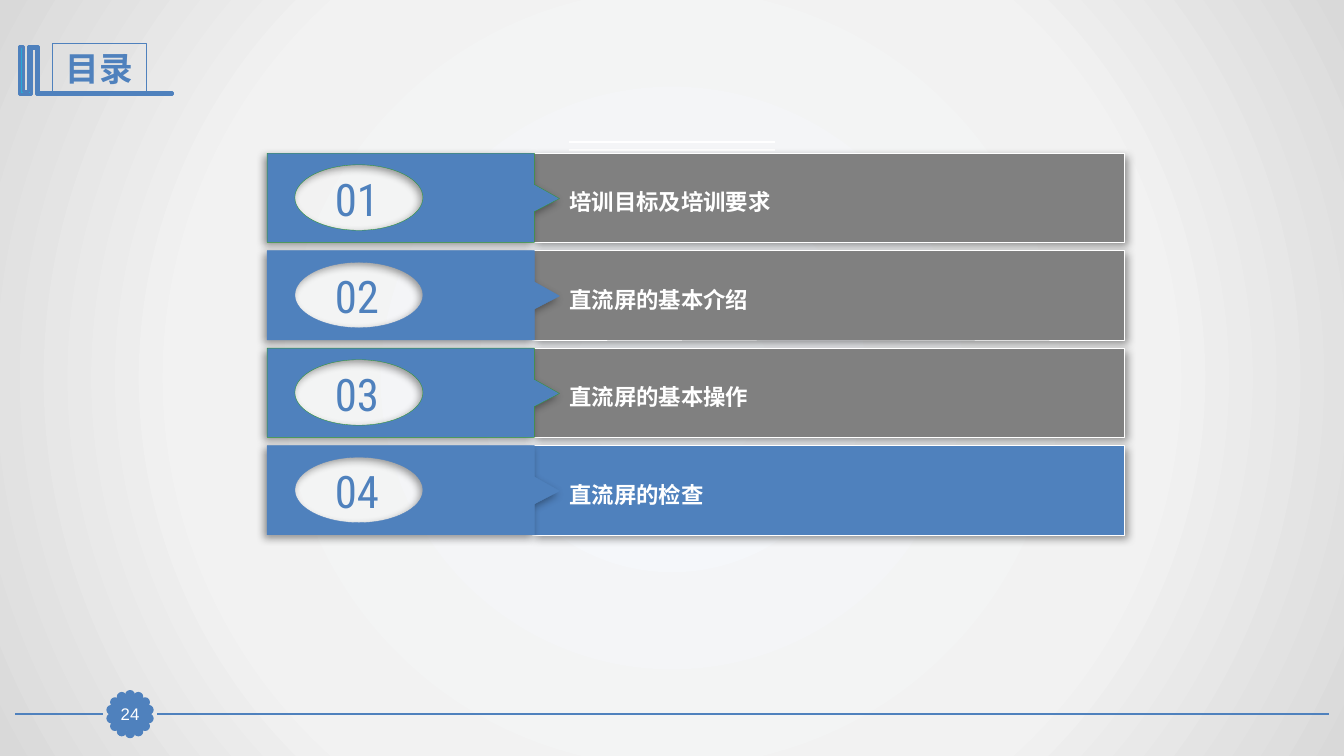
"""Build the contents slide with four numbered sections, the last one highlighted."""
from math import cos, sin, tau

from lxml.etree import SubElement
from pptx import Presentation
from pptx.dml.color import RGBColor
from pptx.enum.shapes import MSO_CONNECTOR, MSO_SHAPE
from pptx.enum.text import MSO_ANCHOR, MSO_AUTO_SIZE, PP_ALIGN
from pptx.oxml import parse_xml
from pptx.oxml.ns import nsdecls, qn
from pptx.util import Inches, Pt

COLORS = {"blue": "4F81BD", "gray": "808080", "white": "FFFFFF", "green": "339933",
          "cyan": "28A9D6", "center": "F6F9FC", "middle": "F2F2F2", "edge": "D9D9D9"}
SECTIONS = [("培训目标及培训要求", "gray", "green"), ("直流屏的基本介绍", "gray", "blue"),
            ("直流屏的基本操作", "gray", "green"), ("直流屏的检查", "blue", "blue")]
LEFT, SPLIT, TIP, RIGHT = 2.65, 5.3, 5.55, 11.15
TOP, PITCH, ROW_H = 1.52, 0.967, 0.885
OVAL_X, OVAL_Y, OVAL_RX, OVAL_RY = 3.56, 0.44, 0.635, 0.325
OVAL_CURVE = [(0, -1), (-0.55, -1), (-1, -0.55), (-1, 0), (-1, 0.55), (-0.55, 1), (0, 1),
              (0.55, 1), (1, 0.55), (1, 0), (1, -0.55), (0.55, -1), (0, -1)]
BADGE_X, BADGE_Y, BADGE_R, DOT, DOTS = 1.29, 7.085, 0.19, 0.07, 14


def style(sp, fill, line, width, shadow_angle=None):
    sp.shadow.inherit = False
    if fill:
        sp.fill.solid()
        sp.fill.fore_color.rgb = RGBColor.from_string(COLORS[fill])
    else:
        sp.fill.background()
    sp.line.color.rgb = RGBColor.from_string(COLORS[line])
    sp.line.width = Pt(width)
    if shadow_angle is not None:
        effects = sp._element.spPr.find(qn("a:effectLst"))
        effects.append(parse_xml(
            f'<a:outerShdw {nsdecls("a")} blurRad="{Pt(6)}" dist="{Pt(3)}" '
            f'dir="{shadow_angle * 60000}" algn="ctr" rotWithShape="0">'
            '<a:srgbClr val="000000"><a:alpha val="40000"/></a:srgbClr></a:outerShdw>'))


def write(sp, text, size, font, color, bold=False, align=PP_ALIGN.CENTER,
          anchor=MSO_ANCHOR.MIDDLE):
    tf = sp.text_frame
    tf.word_wrap = True
    tf.auto_size = MSO_AUTO_SIZE.NONE
    tf.vertical_anchor = anchor
    p = tf.paragraphs[0]
    p.alignment = align
    r = p.add_run()
    r.text = text
    r.font.size = Pt(size)
    r.font.name = font
    r.font.bold = bold
    r.font.color.rgb = RGBColor.from_string(COLORS[color])


prs = Presentation()
prs.slide_width, prs.slide_height = Inches(13.33), Inches(7.5)
s = prs.slides.add_slide(prs.slide_layouts[5])
shapes = s.shapes

s.background.fill.solid()
solid = s.element.find(".//" + qn("p:bgPr")).find(qn("a:solidFill"))
stops = "".join(f'<a:gs pos="{pos * 1000}"><a:srgbClr val="{COLORS[name]}"/></a:gs>'
                for pos, name in [(0, "center"), (63, "middle"), (100, "edge")])
solid.getparent().replace(solid, parse_xml(
    f'<a:gradFill {nsdecls("a")} rotWithShape="1"><a:gsLst>{stops}</a:gsLst>'
    '<a:path path="circle"><a:fillToRect l="50000" t="50000" r="50000" b="50000"/>'
    '</a:path></a:gradFill>'))

for x1, x2, y, color, width in [(13.18, 1.56, BADGE_Y, "blue", 1.25),
                                (1.02, 0.15, BADGE_Y, "blue", 1.25),
                                (5.64, 7.69, 1.41, "white", 1.5),
                                (5.64, 7.69, 1.49, "white", 1.5)]:
    rule = shapes.add_connector(MSO_CONNECTOR.STRAIGHT, Inches(x1), Inches(y),
                                Inches(x2), Inches(y))
    rule.line.color.rgb = RGBColor.from_string(COLORS[color])
    rule.line.width = Pt(width)
    SubElement(rule._element.spPr, qn("a:effectLst"))

scallops = shapes.add_group_shape().shapes
for i in range(DOTS):
    angle = tau * i / DOTS
    dot = scallops.add_shape(MSO_SHAPE.OVAL,
                             Inches(BADGE_X + BADGE_R * sin(angle) - DOT / 2),
                             Inches(BADGE_Y - BADGE_R * cos(angle) - DOT / 2),
                             Inches(DOT), Inches(DOT))
    style(dot, "blue", "blue", 2)

badge = shapes.add_shape(MSO_SHAPE.RECTANGLE, Inches(1.13), Inches(6.93),
                         Inches(0.32), Inches(0.31))
style(badge, "blue", "blue", 0.75)
tf = badge.text_frame
tf.margin_left = tf.margin_right = tf.margin_top = tf.margin_bottom = 0
write(badge, "24", 12, "Arial", "white")

books = [(0.37, 0.46), (0.38, 0.46), (0.38, 0.92), (1.71, 0.92), (1.71, 0.94),
         (0.37, 0.94), (0.36, 0.94), (0.36, 0.48), (0.31, 0.48), (0.31, 0.94),
         (0.19, 0.94), (0.19, 0.46), (0.23, 0.46), (0.23, 0.91), (0.28, 0.91),
         (0.28, 0.46)]
outline = [(Inches(x), Inches(y)) for x, y in books]
fb = shapes.build_freeform(*outline[0])
fb.add_line_segments(outline[1:])
style(fb.convert_to_shape(), "cyan", "blue", 2)

title = shapes.title
title.left, title.top, title.width, title.height = (
    Inches(v) for v in (0.52, 0.43, 0.93, 0.5))
style(title, None, "blue", 0.75)
write(title, "目录", 24, "Roboto Condensed", "blue", bold=True)

for n, (label, bar_color, edge_color) in enumerate(SECTIONS):
    top = TOP + n * PITCH
    row = shapes.add_group_shape().shapes
    bar = row.add_shape(MSO_SHAPE.RECTANGLE, Inches(5.28), Inches(top),
                        Inches(RIGHT - 5.28), Inches(ROW_H))
    style(bar, bar_color, "white", 0.25, 45)

    oval = [(Inches(OVAL_X + OVAL_RX * x), Inches(top + OVAL_Y + OVAL_RY * y))
            for x, y in OVAL_CURVE]
    tab = [(Inches(x), Inches(top + y)) for x, y in
           [(LEFT, 0), (SPLIT, 0), (SPLIT, 0.31), (TIP, 0.45), (SPLIT, 0.58),
            (SPLIT, ROW_H), (LEFT, ROW_H)]]
    fb = row.build_freeform(*oval[0])
    fb.add_line_segments(oval[1:])
    fb.move_to(*tab[0])
    fb.add_line_segments(tab[1:])
    marker = fb.convert_to_shape()
    segments = list(marker._element.iter(qn("a:lnTo")))[:len(oval) - 1]
    for i in range(0, len(segments), 3):
        curve = parse_xml(f'<a:cubicBezTo {nsdecls("a")}/>')
        segments[i].addprevious(curve)
        for segment in segments[i:i + 3]:
            curve.append(segment[0])
            segment.getparent().remove(segment)
    style(marker, "blue", edge_color, 0.25, 135)

    number = row.add_textbox(Inches(3.04), Inches(top + 0.13), Inches(1), Inches(0.64))
    write(number, f"{n + 1:02}", 32, "Roboto Condensed", "blue")
    caption = row.add_textbox(Inches(TIP), Inches(top + 0.3), Inches(5.61), Inches(0.37))
    write(caption, label, 16, "Arial", "white", bold=True, align=PP_ALIGN.LEFT,
          anchor=MSO_ANCHOR.TOP)

prs.save("out.pptx")
